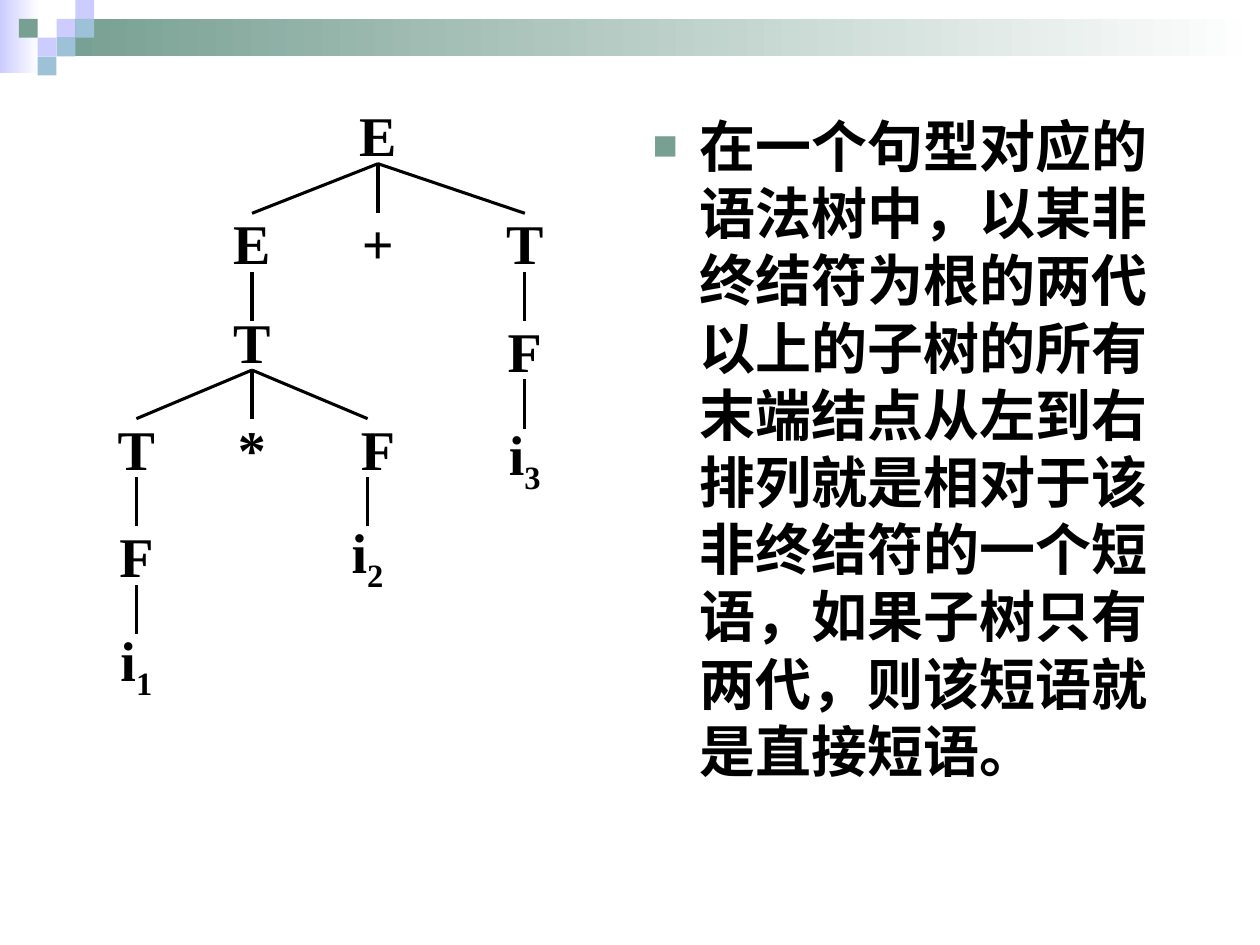
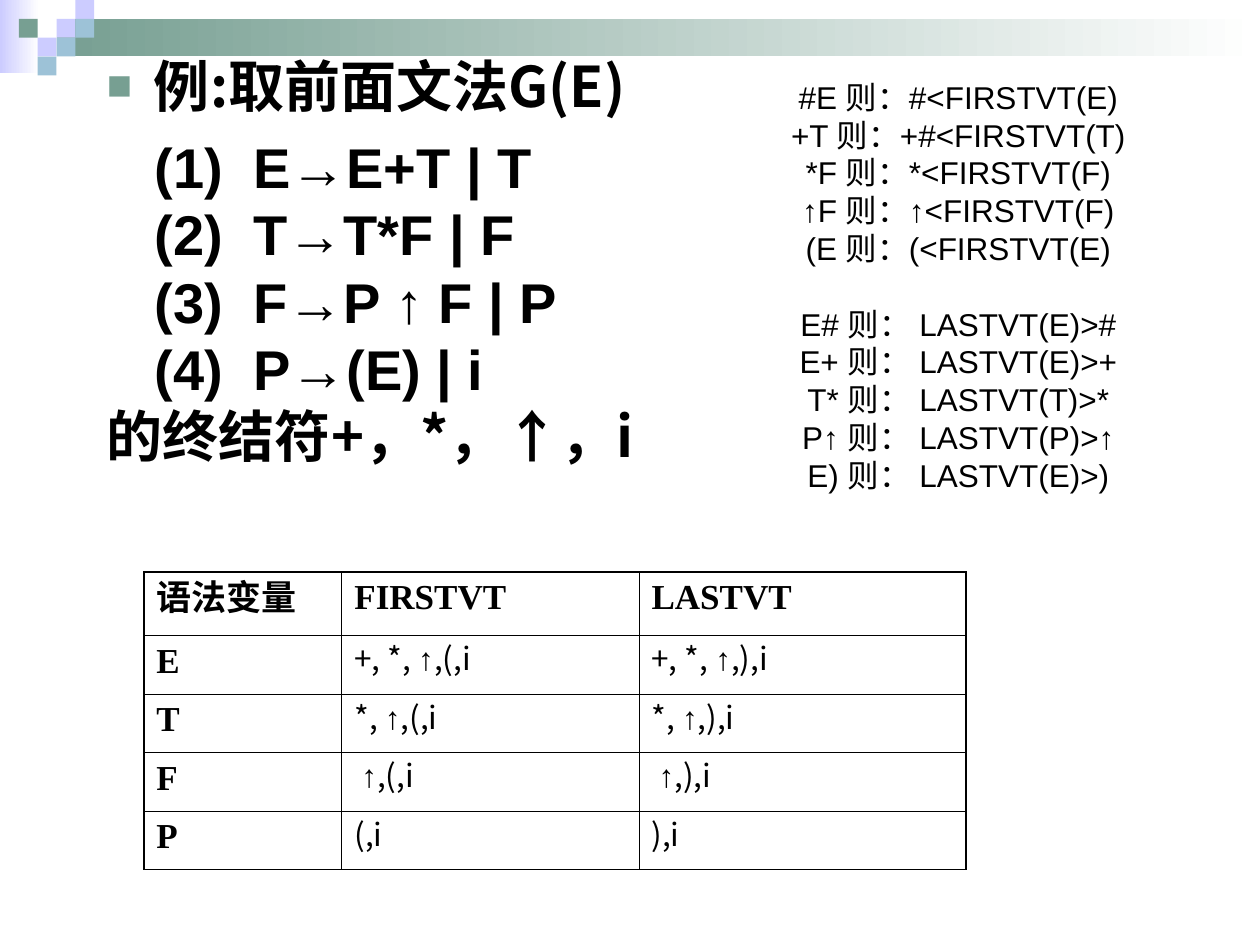
"""Build two slides on phrases in syntax trees and on FIRSTVT and LASTVT sets."""
import pptx
import pptx.dml.color
import pptx.enum.shapes
import pptx.enum.text
import pptx.oxml
import pptx.oxml.ns
import pptx.util
from lxml import etree
from pptx.util import Cm, Pt

BLACK = pptx.dml.color.RGBColor(0x00, 0x00, 0x00)
WHITE = pptx.dml.color.RGBColor(0xFF, 0xFF, 0xFF)
GREEN = pptx.dml.color.RGBColor(0x77, 0x9F, 0x92)
LILAC = pptx.dml.color.RGBColor(0xCC, 0xCC, 0xFF)
BLUE = pptx.dml.color.RGBColor(0x9D, 0xC2, 0xD7)

HEITI, SANS, SERIF = "Noto Sans CJK SC", "Arial", "Times New Roman"
TILE = 0.38
TILES = [(3, 1, LILAC), (4, 0, LILAC), (4, 1, BLUE), (2, 2, LILAC),
         (1, 1, GREEN), (3, 2, BLUE), (2, 3, BLUE)]

NODE_WIDTH, NODE_HEIGHT = 1.7, 1.18
NODES = {
    "root E": ("E", "", 7.62, 2.12),
    "left E": ("E", "", 5.08, 4.3),
    "plus": ("+", "", 7.62, 4.3),
    "right T": ("T", "", 10.58, 4.3),
    "product T": ("T", "", 5.08, 6.28),
    "right F": ("F", "", 10.58, 6.47),
    "i3": ("i", "3", 10.58, 8.64),
    "inner T": ("T", "", 2.75, 8.44),
    "times": ("*", "", 5.08, 8.44),
    "factor F": ("F", "", 7.62, 8.44),
    "inner F": ("F", "", 2.75, 10.61),
    "i2": ("i", "2", 7.41, 10.61),
    "i1": ("i", "1", 2.75, 12.79),
}
BRANCHES = [
    ("root E", "left E"), ("root E", "plus"), ("root E", "right T"),
    ("left E", (5.08, 6.47)),
    ("product T", "inner T"), ("product T", "times"),
    ("product T", (7.41, 8.44)),
    ("inner T", "inner F"), ("inner F", "i1"), ((7.41, 9.62), "i2"),
    ("right T", "right F"), ("right F", "i3"),
]

PHRASE = ("在一个句型对应的语法树中，以某非终结符为根的两代以上的子树的所有末端结点"
          "从左到右排列就是相对于该非终结符的一个短语，如果子树只有两代，则该短语就是直接短语。")
RULES = ["E→E+T | T", "T→T*F | F", "F→P ↑ F | P", "P→(E) | i"]
FIRST_RELATIONS = ["#E 则：#<FIRSTVT(E)", "+T 则：+#<FIRSTVT(T)", "*F 则：*<FIRSTVT(F)",
                   "↑F 则：↑<FIRSTVT(F)", "(E 则：(<FIRSTVT(E)"]
LAST_RELATIONS = ["E# 则： LASTVT(E)>#", "E+ 则： LASTVT(E)>+", "T* 则： LASTVT(T)>*",
                  "P↑ 则： LASTVT(P)>↑", "E) 则： LASTVT(E)>)"]
VT_SETS = [
    ("语法变量", "FIRSTVT", "LASTVT"),
    ("E", "+, *, ↑,(,i", "+, *, ↑,),i"),
    ("T", "*, ↑,(,i", "*, ↑,),i"),
    ("F", " ↑,(,i", " ↑,),i"),
    ("P", "(,i", "),i"),
]


def add_child(parent, tag, **attributes):
    """Append a DrawingML element to parent."""
    return etree.SubElement(parent, pptx.oxml.ns.qn(tag), **attributes)


def style(paragraph, size, name, bold=False, spaced=True):
    """Set the paragraph's font for both scripts, with an even line pitch."""
    paragraph.font.size = Pt(size)
    paragraph.font.bold = bold
    paragraph.font.color.rgb = BLACK
    paragraph.font.name = name
    if spaced:
        paragraph.line_spacing = Pt(round(size * 1.2, 1))
    defaults = paragraph._p.pPr.find(pptx.oxml.ns.qn("a:defRPr"))
    add_child(defaults, "a:ea", typeface=HEITI if name == SERIF else name)


def indent(paragraph, margin, first, bullet=False):
    """Set the indents in centimetres and the square bullet or none."""
    properties = paragraph._p.get_or_add_pPr()
    properties.set("marL", str(Cm(margin)))
    properties.set("indent", str(Cm(first)))
    if bullet:
        colour = add_child(properties, "a:buClr")
        add_child(colour, "a:srgbClr", val=str(GREEN))
        add_child(properties, "a:buSzPct", val="75000")
        add_child(properties, "a:buFont", typeface=SANS)
        add_child(properties, "a:buChar", char="■")
    else:
        add_child(properties, "a:buNone")


def paragraphs(frame, texts):
    """Fill the frame with one paragraph per text and return them."""
    frame.text = "\n".join(texts)
    return frame.paragraphs


def decorate_master(presentation, slide):
    """Put the gradient bands and the tile mosaic on the slide master."""
    boxes = [(0, 0, 0.79, 1.47, LILAC, True), (1.14, TILE, 24.26, 0.76, GREEN, True)]
    boxes += [(column * TILE, row * TILE, TILE, TILE, colour, False)
              for column, row, colour in TILES]
    tree = presentation.slide_master.shapes.element
    for order, (left, top, width, height, colour, fades) in enumerate(boxes):
        box = slide.shapes.add_shape(pptx.enum.shapes.MSO_SHAPE.RECTANGLE,
                                     Cm(left), Cm(top), Cm(width), Cm(height))
        box.shadow.inherit = False
        box.line.fill.background()
        if fades:
            box.fill.gradient()
            box.fill.gradient_angle = 0
            for stop, shade in zip(box.fill.gradient_stops, (colour, WHITE)):
                stop.color.rgb = shade
        else:
            box.fill.solid()
            box.fill.fore_color.rgb = colour
        box.element.nvSpPr.cNvPr.id = 100 + order
        tree.insert(2 + order, box.element)


def add_content_slide(presentation):
    """Add a slide that has a body and no title."""
    slide = presentation.slides.add_slide(presentation.slide_layouts[1])
    title = slide.shapes.title.element
    title.getparent().remove(title)
    return slide


def place_body(slide, left, top, width, height):
    """Move the body placeholder and return its text frame."""
    body = slide.placeholders[1]
    body.left, body.top, body.width, body.height = map(Cm, (left, top, width, height))
    body.text_frame.auto_size = pptx.enum.text.MSO_AUTO_SIZE.NONE
    return body.text_frame


def add_node(slide, symbol, subscript, centre, top):
    """Add one symbol of the syntax tree."""
    node = slide.shapes.add_textbox(Cm(centre - NODE_WIDTH / 2), Cm(top),
                                    Cm(NODE_WIDTH), Cm(NODE_HEIGHT))
    frame = node.text_frame
    frame.word_wrap = False
    frame.vertical_anchor = pptx.enum.text.MSO_ANCHOR.MIDDLE
    label = frame.paragraphs[0]
    label.alignment = pptx.enum.text.PP_ALIGN.CENTER
    label.add_run().text = symbol
    if subscript:
        index = label.add_run()
        index.text = subscript
        index._r.get_or_add_rPr().set("baseline", "-25000")
    style(label, 32, SERIF, bold=True, spaced=False)
    return node


def add_branch(slide, nodes, start, end):
    """Draw a branch between two nodes, or from or to a free point."""
    points = [point if isinstance(point, tuple) else (0, 0) for point in (start, end)]
    branch = slide.shapes.add_connector(pptx.enum.shapes.MSO_CONNECTOR.STRAIGHT,
                                        *(Cm(value) for point in points for value in point))
    if start in nodes:
        branch.begin_connect(nodes[start], 2)
    if end in nodes:
        branch.end_connect(nodes[end], 0)
    branch.line.color.rgb = BLACK
    branch.line.width = Pt(1.75)
    add_child(branch.element.spPr, "a:effectLst")


def add_syntax_tree(slide):
    """Draw the nodes and branches of the syntax tree."""
    nodes = {key: add_node(slide, *node) for key, node in NODES.items()}
    for start, end in BRANCHES:
        add_branch(slide, nodes, start, end)


def add_grammar(slide):
    """Write the grammar rules into the body."""
    numbered = [f"({number})\t{rule}" for number, rule in enumerate(RULES, 1)]
    frame = place_body(slide, 1.9, 0.91, 21.59, 9.1)
    heading, *rules, terminals = paragraphs(
        frame, ["例:取前面文法G(E)", *numbered, "的终结符+，*，↑，i"])
    indent(heading, 0.95, -0.95, bullet=True)
    for rule in rules:
        indent(rule, 2.95, -1.98)
        style(rule, 32, SANS, bold=True)
    indent(terminals, 0.95, -0.95)
    for line in (heading, terminals):
        style(line, 32, HEITI, bold=True)
    for line in frame.paragraphs:
        line.space_before = Pt(0)
    rules[0].space_before = Pt(8)


def add_relations(slide):
    """List the precedence relations beside the grammar."""
    frame = slide.shapes.add_textbox(Cm(15.04), Cm(1.52), Cm(7.9), Cm(9.45)).text_frame
    frame.word_wrap = False
    frame.margin_left, frame.margin_top, frame.margin_right = Cm(0.66), Cm(0.05), 0
    lines = paragraphs(frame, FIRST_RELATIONS + LAST_RELATIONS)
    for line in lines:
        line.alignment = pptx.enum.text.PP_ALIGN.CENTER
        style(line, 18, SANS)
    lines[len(FIRST_RELATIONS)].space_before = Pt(21.6)


def write_set(paragraph, text):
    """Write a set of terminals with its arrow in the sans font."""
    for part in text.partition("↑"):
        if part:
            run = paragraph.add_run()
            run.text = part
            if part == "↑":
                run.font.name = SANS
                add_child(run._r.get_or_add_rPr(), "a:ea", typeface=SANS)
    style(paragraph, 18, HEITI)


def set_borders(cell, outer_sides):
    """Draw the cell's borders, heavier on the outer sides."""
    properties = cell._tc.get_or_add_tcPr()
    for order, side in enumerate("LRTB"):
        width = Pt(1.08) if side in outer_sides else Pt(0.45)
        border = etree.Element(pptx.oxml.ns.qn(f"a:ln{side}"), w=str(width))
        add_child(add_child(border, "a:solidFill"), "a:srgbClr", val=str(BLACK))
        properties.insert(order, border)


def add_vt_table(slide):
    """Add the table of FIRSTVT and LASTVT sets."""
    widths, heights = (3.99, 5.99, 6.6), (1.28, 1.18, 1.18, 1.18, 1.18)
    table = slide.shapes.add_table(len(VT_SETS), len(widths), Cm(2.9), Cm(11.53),
                                   Cm(sum(widths)), Cm(sum(heights))).table
    table.first_row = table.horz_banding = False
    for column, width in zip(table.columns, widths):
        column.width = Cm(width)
    for y, (row, height) in enumerate(zip(VT_SETS, heights)):
        table.rows[y].height = Cm(height)
        for x, text in enumerate(row):
            cell = table.cell(y, x)
            cell.fill.background()
            line = cell.text_frame.paragraphs[0]
            if x and y:
                write_set(line, text)
            else:
                line.add_run().text = text
                style(line, 20, SERIF, bold=True, spaced=text == VT_SETS[0][0])
            outer = {"L": x == 0, "R": x == len(widths) - 1,
                     "T": y == 0, "B": y == len(VT_SETS) - 1}
            set_borders(cell, [side for side, is_outer in outer.items() if is_outer])


def main():
    """Build and save the presentation."""
    presentation = pptx.Presentation()
    presentation.slide_width, presentation.slide_height = Cm(25.4), Cm(19.05)

    phrase_slide = add_content_slide(presentation)
    decorate_master(presentation, phrase_slide)
    definition = paragraphs(place_body(phrase_slide, 12.9, 2.12, 11.43, 15.67), [PHRASE])[0]
    indent(definition, 0.95, -0.95, bullet=True)
    style(definition, 32, HEITI, bold=True)
    definition.space_before = Pt(0)
    add_syntax_tree(phrase_slide)

    relations_slide = add_content_slide(presentation)
    add_grammar(relations_slide)
    add_vt_table(relations_slide)
    add_relations(relations_slide)

    presentation.save("out.pptx")


if __name__ == "__main__":
    main()
